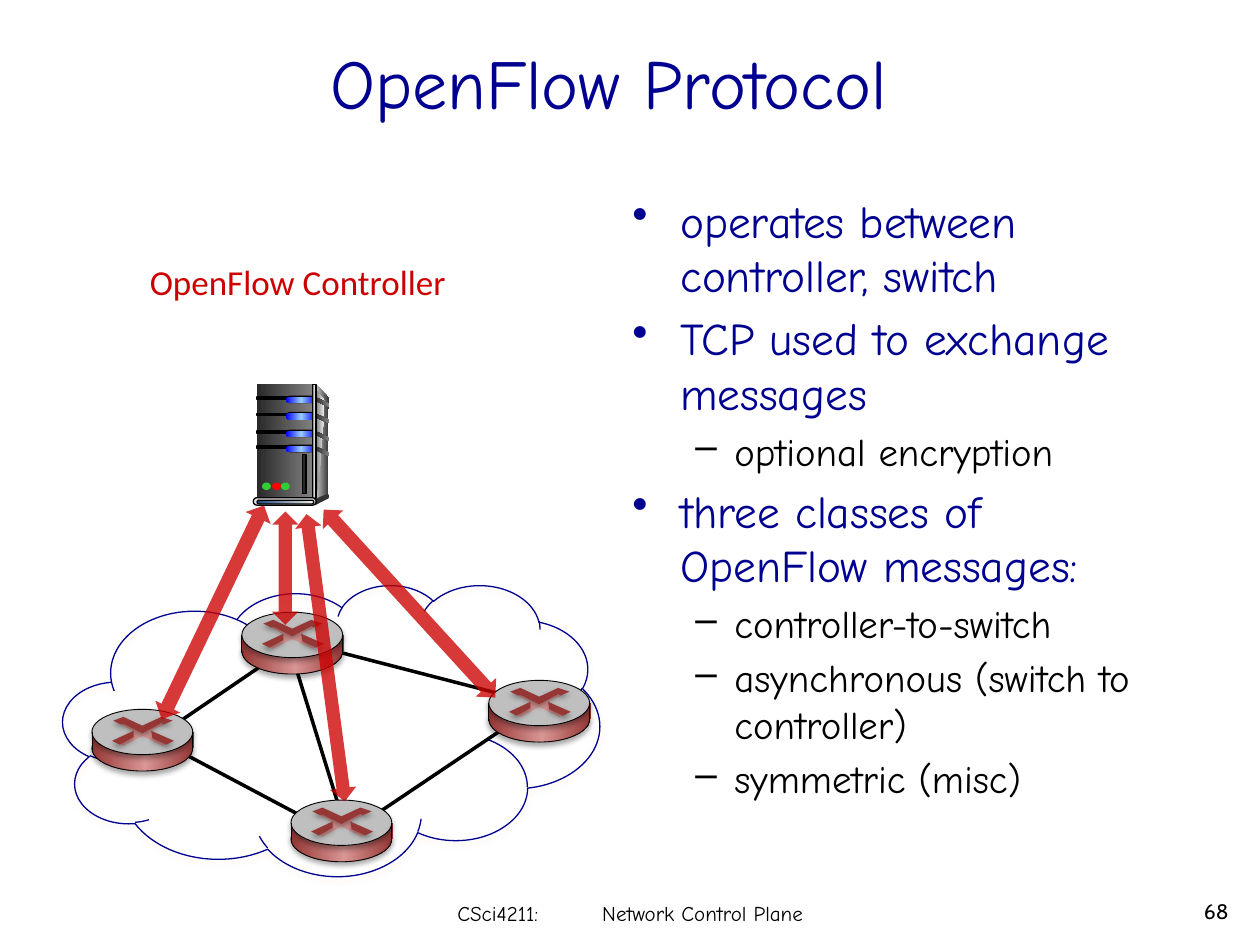
from dataclasses import dataclass
from typing import NamedTuple, Optional, Union

from lxml import etree
from pptx import Presentation
from pptx.dml.color import RGBColor
from pptx.enum import shapes, text
from pptx.oxml.ns import qn
from pptx.util import Inches, Pt

SHAPE = shapes.MSO_SHAPE
ALIGN = text.PP_ALIGN
MIDDLE = text.MSO_ANCHOR.MIDDLE
Point = tuple[float, float]
Box = tuple[float, float, float, float]
Stops = tuple[tuple[int, str], ...]


@dataclass(frozen=True)
class Theme:
    navy: str = "000090"
    black: str = "000000"
    red: str = "CC0000"
    brick: str = "953735"
    rose: str = "D99694"
    silver: str = "BFBFBF"
    charcoal: str = "333333"
    light: str = "DDDDDD"
    led: str = "33CC33"
    alarm: str = "FF0000"
    peach: str = "FCD5B5"
    casing: Stops = ((0, "292929"), (100, "808080"))
    side: Stops = ((0, "DDDDDD"), (100, "333333"))
    panel: Stops = ((0, "808080"), (100, "F8F8F8"))
    bezel: Stops = ((0, "333333"), (50, "DDDDDD"), (100, "333333"))
    drive: Stops = ((0, "0000FF"), (50, "99CCFF"), (100, "0000FF"))
    foot: Stops = ((0, "1F497D"), (100, "EEECE1"))
    rim: Stops = ((0, "953735"), (53, "D99694"), (100, "953735"))
    hand: str = "Comic Neue"
    sans: str = "Calibri"
    number: str = "Cabin"
    title: float = 40
    bullet: float = 25.9
    dash: float = 22.2
    label: float = 20
    footer: float = 12


T = Theme()


class Part(NamedTuple):
    form: Union[SHAPE, tuple[Point, ...]]
    box: Optional[Box]
    fill: Union[str, Stops, None]
    line: float = 0
    shadow: Optional[str] = None
    line_color: str = T.black
    alpha: int = 100
    rotation: float = 0


class Bullet(NamedTuple):
    words: str
    level: int = 0


def drop_shadow(sp, color: str) -> None:
    effects = sp._element.spPr.find(qn("a:effectLst"))
    outer = etree.SubElement(effects, qn("a:outerShdw"), blurRad=str(Pt(3.1)),
                             dist=str(Pt(1.8)), dir="5400000", rotWithShape="0")
    rgb = etree.SubElement(outer, qn("a:srgbClr"), val=color)
    etree.SubElement(rgb, qn("a:alpha"), val="35000")


def paint_gradient(sp, stops: Stops) -> None:
    sp.fill.solid()
    grad = etree.Element(qn("a:gradFill"), rotWithShape="1")
    stop_list = etree.SubElement(grad, qn("a:gsLst"))
    for pos, color in stops:
        stop = etree.SubElement(stop_list, qn("a:gs"), pos=str(pos * 1000))
        etree.SubElement(stop, qn("a:srgbClr"), val=color)
    etree.SubElement(grad, qn("a:lin"), ang="0", scaled="0")
    spPr = sp._element.spPr
    spPr.replace(spPr.find(qn("a:solidFill")), grad)


def draw_part(parent, part: Part, origin: Point = (0, 0)) -> None:
    dx, dy = origin
    if part.box is None:
        points = [(Inches(x + dx), Inches(y + dy)) for x, y in part.form]
        builder = parent.build_freeform(*points[0], scale=1.0)
        builder.add_line_segments(points[1:], close=True)
        sp = builder.convert_to_shape()
    else:
        x, y, w, h = part.box
        sp = parent.add_shape(part.form, *map(Inches, (x + dx, y + dy, w, h)))
    if part.form == SHAPE.ROUNDED_RECTANGLE:
        sp.adjustments[0] = 0.5
    sp.rotation = part.rotation
    if part.fill is None:
        sp.fill.background()
    elif isinstance(part.fill, str):
        sp.fill.solid()
        sp.fill.fore_color.rgb = RGBColor.from_string(part.fill)
        if part.alpha < 100:
            rgb = sp._element.spPr.find(qn("a:solidFill")).find(qn("a:srgbClr"))
            etree.SubElement(rgb, qn("a:alpha"), val=str(part.alpha * 1000))
    else:
        paint_gradient(sp, part.fill)
    if part.line:
        sp.line.color.rgb = RGBColor.from_string(part.line_color)
        sp.line.width = Pt(part.line)
    else:
        sp.line.fill.background()
    sp.shadow.inherit = False
    if part.shadow:
        drop_shadow(sp, part.shadow)


def draw_line(parent, start: Point, end: Point, width: float, shadow: Optional[str] = None) -> None:
    s = parent.add_connector(shapes.MSO_CONNECTOR.STRAIGHT, *map(Inches, start + end))
    s.line.color.rgb = RGBColor.from_string(T.black)
    s.line.width = Pt(width)
    etree.SubElement(s._element.spPr, qn("a:effectLst"))
    if shadow:
        drop_shadow(s, shadow)


def write(p, words: str, font: str, size: float, color: str, **formats) -> None:
    for name, value in formats.items():
        setattr(p, name, value)
    r = p.add_run()
    r.text = words
    for name, value in {"name": font, "size": Pt(size)}.items():
        setattr(r.font, name, value)
    r.font.color.rgb = RGBColor.from_string(color)


def add_text(s, box: Box, **frame):
    tf = s.shapes.add_textbox(*map(Inches, box)).text_frame
    for name, value in {"word_wrap": True, **frame}.items():
        setattr(tf, name, value)
    return tf


def write_bullets(tf, bullets: list[Bullet]) -> None:
    looks = ((0.38, 0.38, "•", T.bullet, T.navy), (0.81, 0.31, "–", T.dash, T.black))
    for i, bullet in enumerate(bullets):
        margin, hang, mark, size, color = looks[bullet.level]
        p = tf.add_paragraph() if i else tf.paragraphs[0]
        pPr = p._p.get_or_add_pPr()
        pPr.set("marL", str(Inches(margin)))
        pPr.set("indent", str(-Inches(hang)))
        etree.SubElement(pPr, qn("a:buChar"), char=mark)
        write(p, bullet.words, T.hand, size, color, level=bullet.level,
              space_before=Pt(size * 0.2 if i else 0))


def server_parts() -> list[Part]:
    rect, pill, oval = SHAPE.RECTANGLE, SHAPE.ROUNDED_RECTANGLE, SHAPE.OVAL
    parts = [
        Part(((2.51, 3.05), (2.61, 3.16), (2.6, 3.93), (2.49, 3.97)), None, T.side),
        Part(rect, (2.04, 3.05, 0.44, 0.92), T.casing),
        Part(((2.51, 3.1), (2.58, 3.18), (2.54, 3.7), (2.51, 3.94)), None, T.panel),
    ]
    for y in (3.15, 3.28, 3.42, 3.54):
        parts += [
            Part(((2.5, y), (2.61, y + 0.05), (2.61, y + 0.08), (2.5, y + 0.03)), None, T.casing),
            Part(rect, (2.04, y, 0.25, 0.02), T.black, 0.75),
            Part(pill, (2.27, y - 0.01, 0.24, 0.06), T.black),
            Part(pill, (2.27, y, 0.24, 0.05), T.drive),
        ]
    parts += [
        Part(rect, (2.48, 3.05, 0.03, 0.92), T.bezel, 0.75),
        Part(oval, (2.59, 3.92, 0.02, 0.04), T.charcoal),
        Part(((2.5, 3.96), (2.5, 4.01), (2.6, 3.96), (2.6, 3.92)), None, T.charcoal),
        Part(pill, (2.01, 3.95, 0.5, 0.06), T.light, 0.75),
        Part(pill, (2.04, 3.97, 0.45, 0.03), T.foot, 0.75),
        Part(rect, (2.4, 3.61, 0.03, 0.31), T.casing[0][1], 0.75),
    ]
    lights = zip((2.08, 2.16, 2.23), (T.led, T.alarm, T.led))
    return parts + [Part(oval, (x, 3.83, 0.07, 0.06), color) for x, color in lights]


ROUTER = [
    Part(SHAPE.OVAL, (0, 0.13, 0.8, 0.36), T.rim, 0.5, T.black),
    Part(SHAPE.RECTANGLE, (0, 0.18, 0.81, 0.13), T.rim),
    Part(SHAPE.OVAL, (0, 0, 0.8, 0.36), T.silver, 0.5, T.black),
    Part(((0.4, 0.21), (0.25, 0.29), (0.21, 0.27), (0.33, 0.22), (0.32, 0.17), (0.23, 0.12),
          (0.26, 0.11), (0.4, 0.17), (0.54, 0.11), (0.58, 0.12), (0.48, 0.16), (0.5, 0.23),
          (0.6, 0.27), (0.56, 0.29)), None, T.rose),
    Part(((0.17, 0.09), (0.25, 0.06), (0.4, 0.13), (0.55, 0.06), (0.64, 0.09), (0.57, 0.12),
          (0.55, 0.11), (0.4, 0.19), (0.26, 0.12), (0.23, 0.12)), None, T.brick, 0, T.black),
    Part(((0.47, 0.17), (0.65, 0.25), (0.59, 0.28), (0.48, 0.23)), None, T.brick, 0, T.black),
    Part(((0.33, 0.17), (0.33, 0.22), (0.22, 0.28), (0.16, 0.25)), None, T.brick, 0, T.black),
]


def draw_router(s, origin: Point) -> None:
    group = s.shapes.add_group_shape().shapes
    for part in ROUTER:
        draw_part(group, part, origin)
    x, y = origin
    for side in (0, 0.8):
        draw_line(group, (x + side, y + 0.32), (x + side, y + 0.18), 0.5, T.black)


def draw_network(s) -> None:
    draw_part(s.shapes, Part(SHAPE.CLOUD, (0.5, 4.64, 4.26, 2.31), None, 0.75, T.peach, T.navy))
    for start, end in (((1.23, 5.86), (2.55, 4.96)), ((1.23, 5.86), (2.55, 6.56)),
                       ((2.33, 5.24), (2.68, 6.37)), ((2.63, 5.16), (4.06, 5.53)),
                       ((2.84, 6.56), (4.06, 5.74))):
        draw_line(s.shapes, start, end, 2)
    server = s.shapes.add_group_shape().shapes
    for part in server_parts():
        draw_part(server, part)
    for origin in ((2.31, 6.35), (3.88, 5.4), (0.73, 5.63), (1.92, 4.86)):
        draw_router(s, origin)
    for box, rotation in (((2.48, 4.07, 0.21, 2.3), 352.4), ((2.16, 4.06, 0.21, 0.9), 0),
                          ((3.14, 3.78, 0.22, 2.02), 317.6), ((1.58, 3.92, 0.22, 1.88), 25.6)):
        draw_part(s.shapes, Part(SHAPE.UP_DOWN_ARROW, box, T.red, alpha=78, rotation=rotation))


def main() -> None:
    prs = Presentation()
    prs.slide_width, prs.slide_height = Inches(10), Inches(7.5)
    s = prs.slides.add_slide(prs.slide_layouts[5])
    title = s.shapes.title
    for name, value in zip(("left", "top", "width", "height"), (0.58, 0.02, 8.5, 1.25)):
        setattr(title, name, Inches(value))
    title.text_frame.vertical_anchor = MIDDLE
    write(title.text_frame.paragraphs[0], "OpenFlow Protocol", T.hand, T.title, T.navy,
          alignment=ALIGN.CENTER)
    write_bullets(add_text(s, (4.92, 1.48, 4.17, 5.08)), [
        Bullet("operates between controller, switch"),
        Bullet("TCP used to exchange messages"),
        Bullet("optional encryption", 1),
        Bullet("three classes of OpenFlow messages:"),
        Bullet("controller-to-switch", 1),
        Bullet("asynchronous (switch to controller)", 1),
        Bullet("symmetric (misc)", 1),
    ])
    draw_network(s)
    label = add_text(s, (1.09, 2.02, 2.69, 0.44))
    write(label.paragraphs[0], "OpenFlow Controller", T.sans, T.label, T.red)
    number = add_text(s, (9.25, 7.08, 0.6, 0.3), vertical_anchor=MIDDLE)
    write(number.paragraphs[0], "68", T.number, T.footer, T.black, alignment=ALIGN.RIGHT)
    footer = add_text(s, (3.63, 7.14, 2.96, 0.22), vertical_anchor=MIDDLE,
                      margin_left=0, margin_right=0, margin_top=0, margin_bottom=0)
    p = footer.paragraphs[0]
    tabs = etree.SubElement(p._p.get_or_add_pPr(), qn("a:tabLst"))
    etree.SubElement(tabs, qn("a:tab"), pos=str(Inches(1.15)), algn="l")
    write(p, "CSci4211:\tNetwork Control Plane", T.hand, T.footer, T.black)
    prs.save("out.pptx")


if __name__ == "__main__":
    main()
